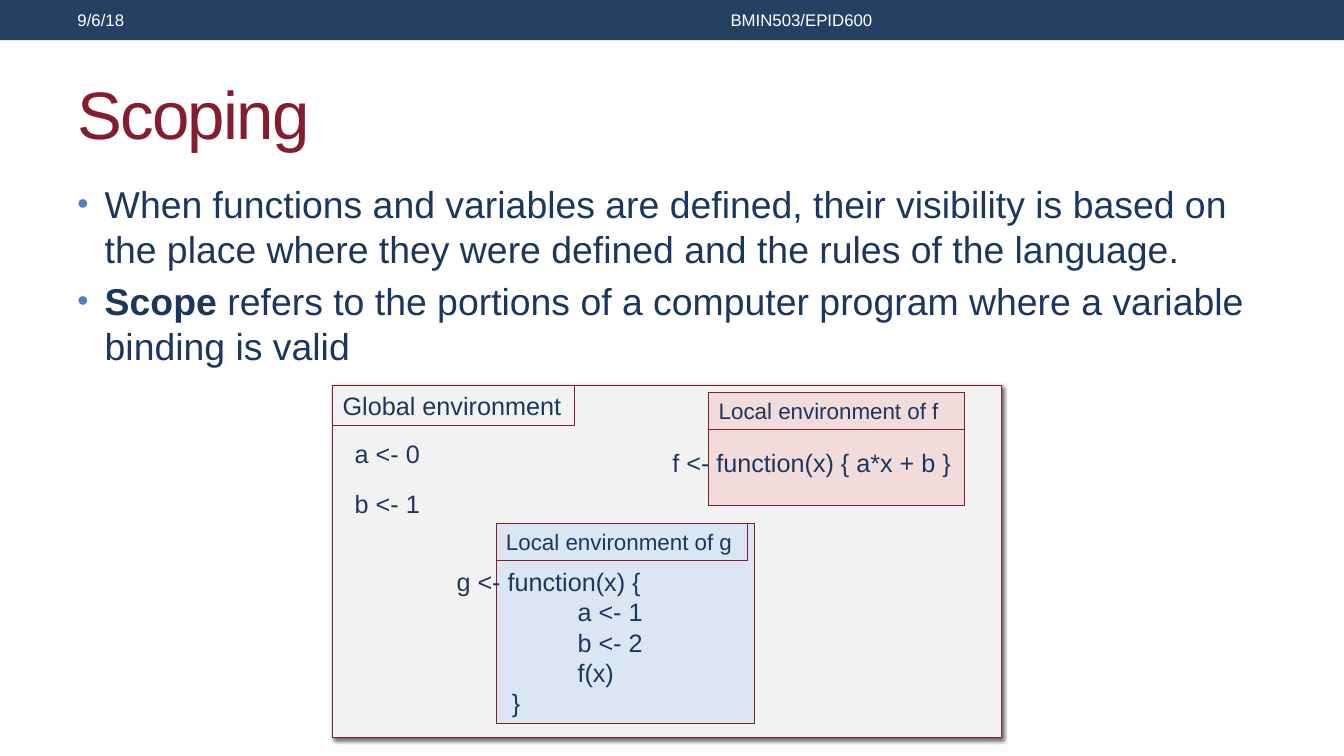
from lxml.etree import SubElement
from pptx import Presentation
from pptx.dml.color import RGBColor
from pptx.enum.shapes import MSO_SHAPE
from pptx.enum.text import MSO_ANCHOR, MSO_AUTO_SIZE, PP_ALIGN
from pptx.oxml.ns import qn
from pptx.util import Emu, Pt

PX = 9144  # one px is a hundredth of an inch

NAVY = RGBColor(0x25, 0x40, 0x61)
INK = RGBColor(0x1C, 0x37, 0x5E)
MAROON = RGBColor(0x84, 0x1D, 0x2D)
BLUE = RGBColor(0x4F, 0x81, 0xBD)
GREY = RGBColor(0xF2, 0xF2, 0xF2)
PINK = RGBColor(0xF2, 0xDC, 0xDB)
PALE_BLUE = RGBColor(0xDC, 0xE6, 0xF2)
WHITE = RGBColor(0xFF, 0xFF, 0xFF)
BLACK = RGBColor(0, 0, 0)


class ScopingSlide:
    font = "Arial"
    ink = INK
    border = MAROON

    def __init__(self, presentation):
        self.slide = presentation.slides.add_slide(presentation.slide_layouts[6])

    def outline(self, shape):
        shape.line.color.rgb = self.border
        shape.line.width = Pt(0.75)

    def panel(self, box, fill, bordered=True):
        panel = self.slide.shapes.add_shape(MSO_SHAPE.RECTANGLE, *[Emu(v * PX) for v in box])
        panel.shadow.inherit = False
        panel.fill.solid()
        panel.fill.fore_color.rgb = fill
        if bordered:
            self.outline(panel)
        else:
            panel.line.fill.background()
        return panel

    def drop_shadow(self, panel):
        effects = panel.element.spPr.find(qn("a:effectLst"))
        shadow = SubElement(effects, qn("a:outerShdw"), blurRad=str(Pt(3)), dist=str(Pt(2)),
                            dir="2700000", algn="tl", rotWithShape="0")
        black = SubElement(shadow, qn("a:srgbClr"), val=str(BLACK))
        SubElement(black, qn("a:alpha"), val="60000")

    def run(self, paragraph, words, **formats):
        run = paragraph.add_run()
        run.text = words
        color = formats.pop("color", self.ink)
        for name, value in {"name": self.font, **formats}.items():
            setattr(run.font, name, value)
        run.font.color.rgb = color
        return run

    def text(self, box, lines, size, color=INK, anchor=MSO_ANCHOR.TOP,
             align=PP_ALIGN.LEFT, wrap=True, grow=False):
        """Each line is a list of (words, bold) runs."""
        text_box = self.slide.shapes.add_textbox(*[Emu(v * PX) for v in box])
        frame = text_box.text_frame
        settings = {
            "word_wrap": wrap,
            "vertical_anchor": anchor,
            "auto_size": MSO_AUTO_SIZE.SHAPE_TO_FIT_TEXT if grow else MSO_AUTO_SIZE.NONE,
        }
        for name, value in settings.items():
            setattr(frame, name, value)
        for index, line in enumerate(lines):
            paragraph = frame.add_paragraph() if index else frame.paragraphs[0]
            paragraph.alignment = align
            for words, bold in line:
                self.run(paragraph, words, size=Pt(size), bold=bold, color=color)
        return text_box

    def bullets(self, box, lines, size):
        body = self.text(box, lines, size)
        for paragraph in body.text_frame.paragraphs:
            paragraph.space_before = Pt(size * 0.2)
            properties = paragraph._p.get_or_add_pPr()
            properties.set("marL", str(27 * PX))
            properties.set("indent", str(-27 * PX))
            SubElement(SubElement(properties, qn("a:buClr")), qn("a:srgbClr"), val=str(BLUE))
            SubElement(properties, qn("a:buSzPct"), val="85000")
            SubElement(properties, qn("a:buFont"), typeface=self.font)
            SubElement(properties, qn("a:buChar"), char="•")

    def label(self, box, words, size, wrap=False):
        self.outline(self.text(box, [[(words, False)]], size, wrap=wrap, grow=True))

    def code(self, box, lines):
        """Each line is (indent in px, words)."""
        code = self.text(box, [[(words, False)] for _, words in lines], 18, wrap=False, grow=True)
        for paragraph, (indent, _) in zip(code.text_frame.paragraphs, lines):
            if indent:
                properties = paragraph._p.get_or_add_pPr()
                properties.set("marL", str(indent * PX))
                properties.set("indent", "0")


def main():
    presentation = Presentation()
    presentation.slide_width = Emu(1333 * PX)
    presentation.slide_height = Emu(750 * PX)
    page = ScopingSlide(presentation)

    page.panel((0, 0, 1333, 40), NAVY, bordered=False)
    title = page.text((67, 58, 1200, 108), [[("Scoping", False)]], 48, MAROON, MSO_ANCHOR.MIDDLE)
    title.text_frame.paragraphs[0].runs[0].font._element.set("spc", "-130")
    page.bullets((67, 175, 1200, 533), [
        [("When functions and variables are defined, their visibility is based on "
          "the place where they were defined and the rules of the language.", False)],
        [("Scope", True),
         (" refers to the portions of a computer program where a variable "
          "binding is valid", False)],
    ], 26.7)
    for left, width, words, align in (
        (67, 422, "9/6/18", PP_ALIGN.LEFT),
        (495, 600, "BMIN503/EPID600", PP_ALIGN.CENTER),
    ):
        page.text((left, 2, width, 36), [[(words, False)]], 12, WHITE, MSO_ANCHOR.MIDDLE, align)

    page.drop_shadow(page.panel((330, 382, 663, 350), GREY))
    page.label((330, 382, 240, 40), "Global environment", 18)
    for row, words in enumerate(("a <- 0", "b <- 1")):
        page.code((342, 430 + 50 * row, 87, 40), [(0, words)])

    page.panel((703, 389, 254, 113), PINK)
    page.label((703, 389, 254, 37), "Local environment of f", 16, wrap=True)
    page.code((657, 439, 301, 40), [(0, "f <- function(x) { a*x + b }")])

    page.panel((492, 519, 256, 199), PALE_BLUE)
    page.label((492, 519, 249, 37), "Local environment of g", 16)
    page.code((443, 557, 213, 162), [
        (0, "g <- function(x) {"),
        (120, "a <- 1"),
        (120, "b <- 2"),
        (120, "f(x)"),
        (55, "}"),
    ])

    presentation.save("out.pptx")


if __name__ == "__main__":
    main()
